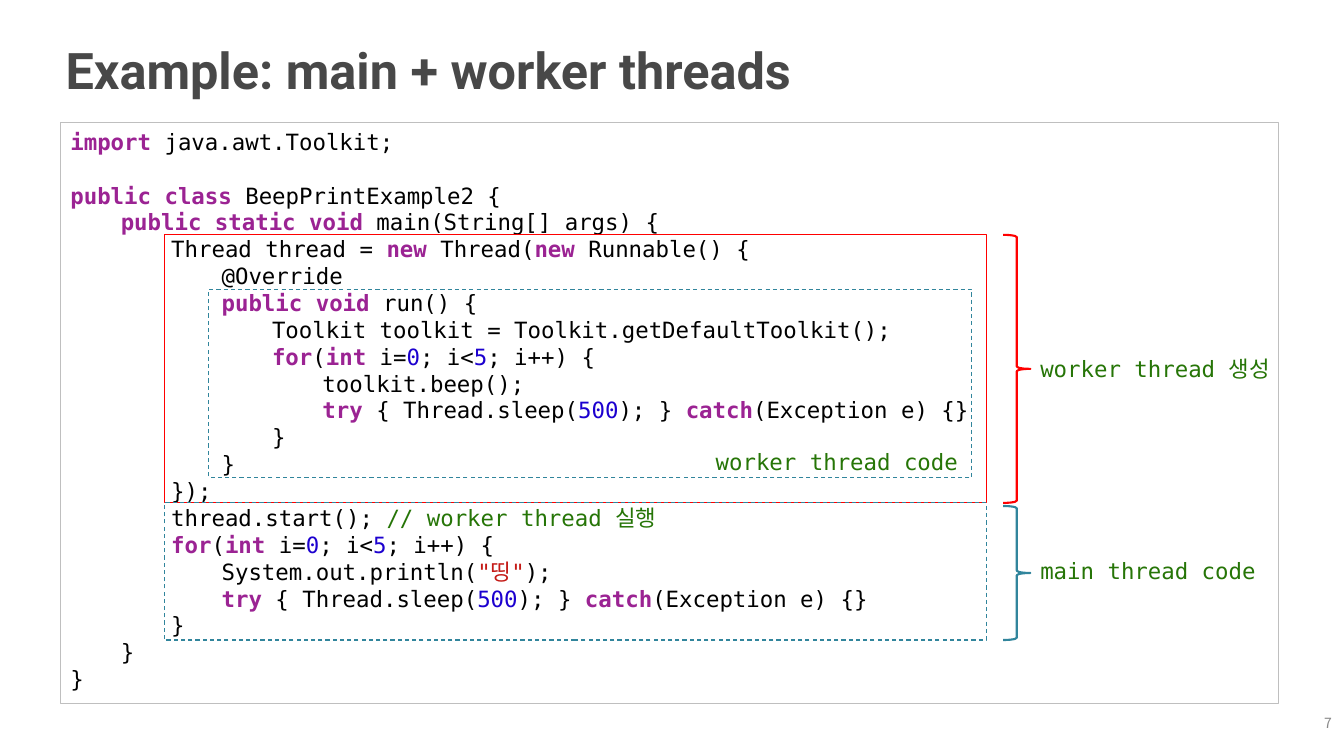
from dataclasses import dataclass
from typing import NamedTuple

from lxml.etree import SubElement
from pptx import Presentation
from pptx.dml.color import RGBColor
from pptx.enum.dml import MSO_LINE
from pptx.enum.shapes import MSO_SHAPE
from pptx.enum.text import MSO_ANCHOR, PP_ALIGN
from pptx.oxml.ns import qn
from pptx.shapes.base import BaseShape
from pptx.slide import Slide
from pptx.text.text import TextFrame, _Paragraph
from pptx.util import Emu, Pt

PX = 9144  # 100 px to the inch


@dataclass(frozen=True)
class Theme:
    title: str = "484848"
    page_number: str = "888888"
    border: str = "BFBFBF"
    plain: str = "000000"
    keyword: str = "9B2393"
    number: str = "1C00CF"
    string: str = "C41A16"
    comment: str = "267507"
    worker: str = "FF0000"
    main: str = "31859C"
    title_font: str = "Roboto"
    code_font: str = "DejaVu Sans Mono"
    korean_font: str = "Noto Sans CJK KR"
    title_size: int = 36
    code_size: int = 16
    page_size: int = 10
    code_pitch: float = 19.2


THEME = Theme()


class Box(NamedTuple):
    left: int
    top: int
    width: int
    height: int


class Span(NamedTuple):
    text: str
    color: str = THEME.plain
    bold: bool = False
    size: int = THEME.code_size
    font: str = THEME.code_font


class CodeLine(NamedTuple):
    level: int
    spans: list[Span]
    gap_lines: int = 0


class Outline(NamedTuple):
    preset: MSO_SHAPE
    box: Box
    color: str
    weight: float = 0.75
    dashed: bool = False


class Label(NamedTuple):
    box: Box
    span: Span
    align: PP_ALIGN = PP_ALIGN.LEFT
    anchor: MSO_ANCHOR = MSO_ANCHOR.TOP
    side_inset: int = 10


def keyword(text: str) -> Span:
    return Span(text, THEME.keyword, bold=True)


def number(text: str) -> Span:
    return Span(text, THEME.number)


def comment(text: str) -> Span:
    return Span(text, THEME.comment)


FOR_LOOP = [keyword("for"), Span("("), keyword("int "), Span("i="), number("0"),
            Span("; i<"), number("5"), Span("; i++) {")]
TRY_SLEEP = [keyword("try"), Span(" { Thread.sleep("), number("500"),
             Span("); } "), keyword("catch"), Span("(Exception e) {}")]
CLOSE = [Span("}")]

CODE = [
    CodeLine(0, [keyword("import "), Span("java.awt.Toolkit;")]),
    CodeLine(0, [keyword("public class"), Span(" BeepPrintExample2 {")], gap_lines=1),
    CodeLine(1, [keyword("public static void"), Span(" main(String[] args) {")]),
    CodeLine(2, [Span("Thread thread = "), keyword("new"), Span(" Thread("),
                 keyword("new"), Span(" Runnable() {")]),
    CodeLine(3, [Span("@Override")]),
    CodeLine(3, [keyword("public void"), Span(" run() {")]),
    CodeLine(4, [Span("Toolkit toolkit = Toolkit.getDefaultToolkit();")]),
    CodeLine(4, FOR_LOOP),
    CodeLine(5, [Span("toolkit.beep();")]),
    CodeLine(5, TRY_SLEEP),
    CodeLine(4, CLOSE),
    CodeLine(3, CLOSE),
    CodeLine(2, [Span("});")]),
    CodeLine(2, [Span("thread.start(); "), comment("// worker thread 실행")]),
    CodeLine(2, FOR_LOOP),
    CodeLine(3, [Span("System.out.println("), Span('"띵"', THEME.string), Span(");")]),
    CodeLine(3, TRY_SLEEP),
    CodeLine(2, CLOSE),
    CodeLine(1, CLOSE),
    CodeLine(0, CLOSE),
]
CODE_PANEL = Outline(MSO_SHAPE.RECTANGLE, Box(60, 122, 1208, 576), THEME.border)
OUTLINES = [
    Outline(MSO_SHAPE.RECTANGLE, Box(163, 233, 815, 266), THEME.worker),
    Outline(MSO_SHAPE.RECTANGLE, Box(163, 499, 815, 136), THEME.main, dashed=True),
    Outline(MSO_SHAPE.RIGHT_BRACE, Box(995, 233, 27, 266), THEME.worker, weight=1.5),
    Outline(MSO_SHAPE.RIGHT_BRACE, Box(995, 502, 27, 133), THEME.main, weight=1.5),
    Outline(MSO_SHAPE.RECTANGLE, Box(207, 287, 757, 187), THEME.main, dashed=True),
]
LABELS = [
    Label(Box(60, 29, 1208, 79),
          Span("Example: main + worker threads", THEME.title, True,
               THEME.title_size, THEME.title_font),
          anchor=MSO_ANCHOR.MIDDLE, side_inset=5),
    Label(Box(1268, 704, 58, 27),
          Span("7", THEME.page_number, False, THEME.page_size, THEME.korean_font),
          PP_ALIGN.RIGHT, MSO_ANCHOR.MIDDLE, side_inset=5),
    Label(Box(1022, 347, 256, 37), comment("worker thread 생성")),
    Label(Box(1022, 548, 246, 37), comment("main thread code")),
    Label(Box(700, 440, 265, 37), comment("worker thread code")),
]


def emu(box: Box) -> list[Emu]:
    return [Emu(length * PX) for length in box]


def add_span(para: _Paragraph, span: Span) -> None:
    run = para.add_run()
    run.text = span.text
    run.font.size = Pt(span.size)
    run.font.bold = span.bold
    run.font.color.rgb = RGBColor.from_string(span.color)
    run.font.name = span.font
    east_asian = SubElement(run.font._element, qn("a:ea"))
    east_asian.set("typeface", THEME.korean_font)


def set_frame(frame: TextFrame, anchor: MSO_ANCHOR, side_inset: int) -> None:
    frame.word_wrap = True
    frame.vertical_anchor = anchor
    frame.margin_left = frame.margin_right = Emu(side_inset * PX)
    frame.margin_top = frame.margin_bottom = Emu(5 * PX)


def add_outline(page: Slide, outline: Outline) -> BaseShape:
    shape = page.shapes.add_shape(outline.preset, *emu(outline.box))
    shape.shadow.inherit = False
    shape.fill.background()
    shape.line.color.rgb = RGBColor.from_string(outline.color)
    shape.line.width = Pt(outline.weight)
    if outline.dashed:
        shape.line.dash_style = MSO_LINE.DASH
    return shape


def add_label(page: Slide, label: Label) -> None:
    frame = page.shapes.add_textbox(*emu(label.box)).text_frame
    set_frame(frame, label.anchor, label.side_inset)
    para = frame.paragraphs[0]
    para.alignment = label.align
    add_span(para, label.span)


def add_code(panel: BaseShape, lines: list[CodeLine]) -> None:
    """Write the listing, each level indented by half an inch."""
    frame = panel.text_frame
    set_frame(frame, MSO_ANCHOR.TOP, 10)
    for index, line in enumerate(lines):
        para = frame.add_paragraph() if index else frame.paragraphs[0]
        para.alignment = PP_ALIGN.LEFT
        para.level = line.level
        para.line_spacing = Pt(THEME.code_pitch)
        para.space_before = Pt(THEME.code_pitch * line.gap_lines)
        properties = para._p.get_or_add_pPr()
        properties.set("marL", str(line.level * 50 * PX))
        properties.set("indent", "0")
        for span in line.spans:
            add_span(para, span)


def main() -> None:
    deck = Presentation()
    deck.slide_width, deck.slide_height = Emu(1333 * PX), Emu(750 * PX)
    page = deck.slides.add_slide(deck.slide_layouts[6])
    add_code(add_outline(page, CODE_PANEL), CODE)
    for outline in OUTLINES:
        add_outline(page, outline)
    for label in LABELS:
        add_label(page, label)
    deck.save("out.pptx")


if __name__ == "__main__":
    main()
